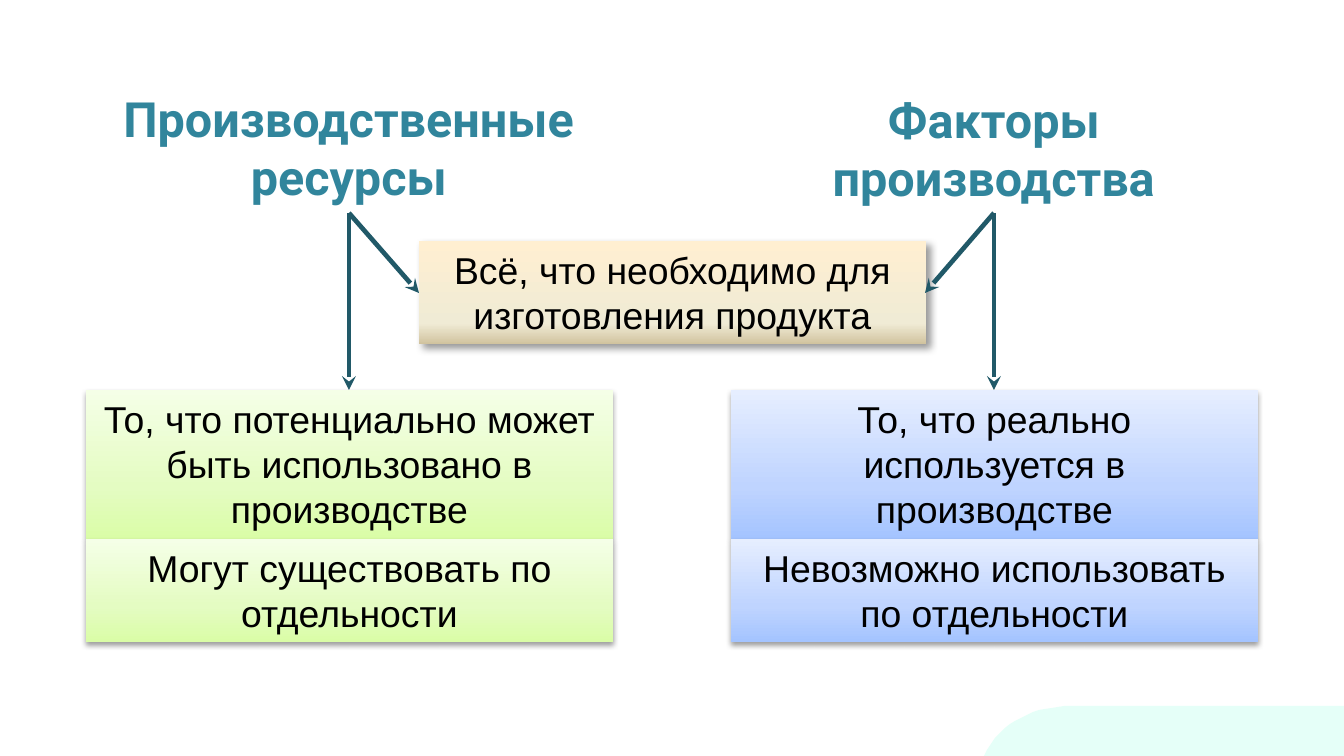
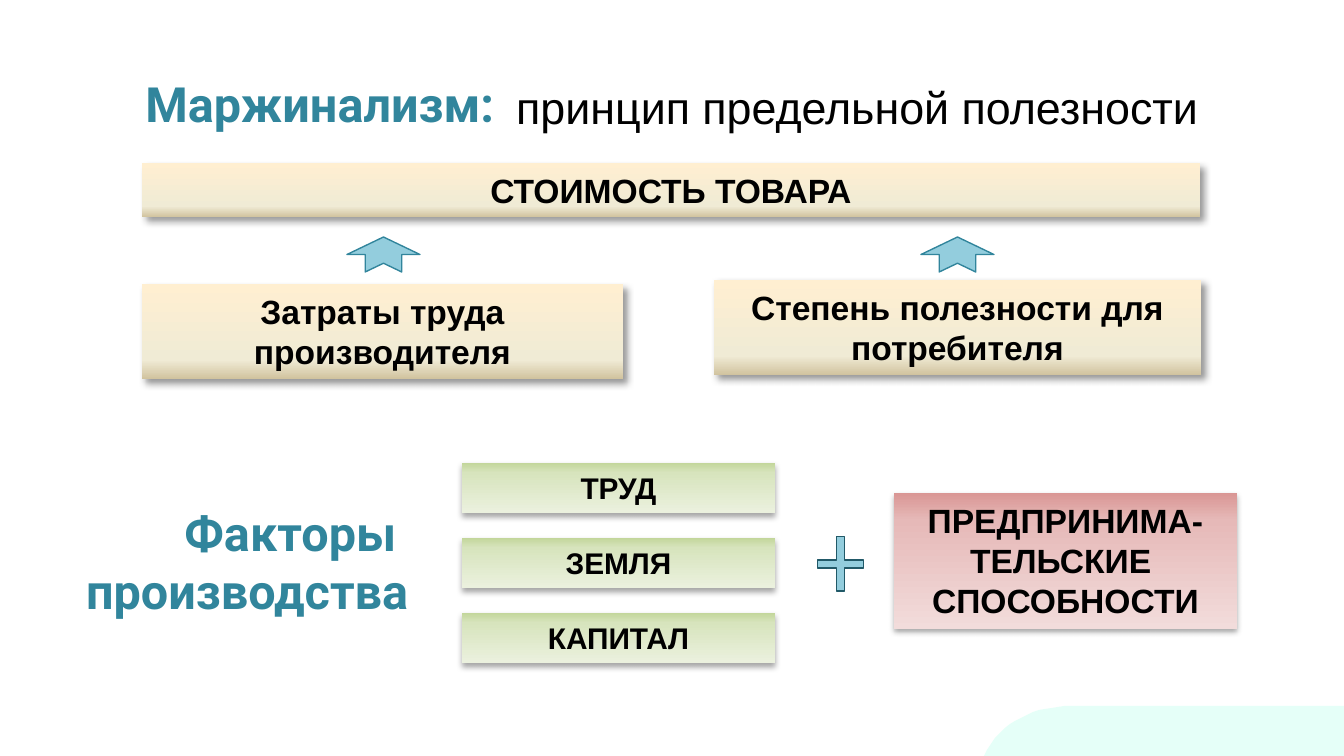
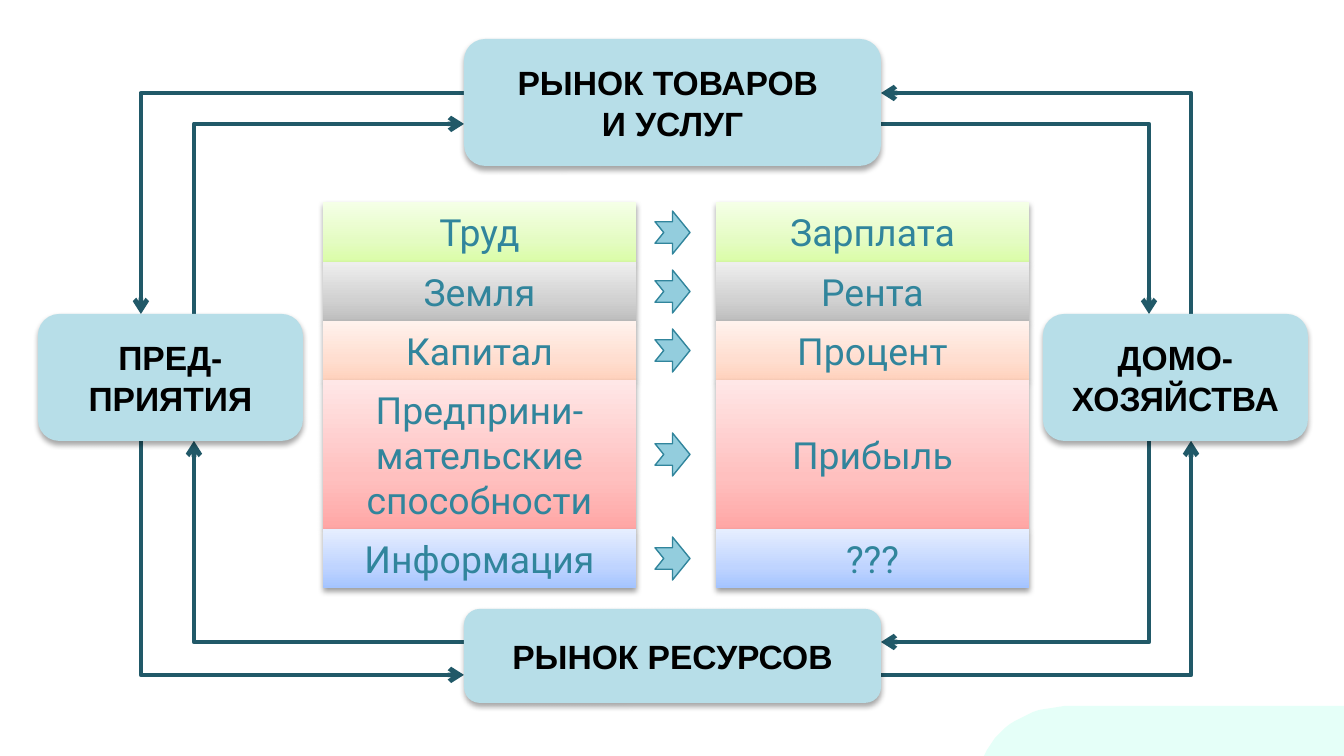
from collections import namedtuple
from dataclasses import dataclass

from pptx import Presentation
from pptx.dml.color import RGBColor
from pptx.enum.shapes import MSO_CONNECTOR, MSO_SHAPE
from pptx.enum.text import MSO_ANCHOR, MSO_AUTO_SIZE, PP_ALIGN
from pptx.oxml import parse_xml
from pptx.oxml.ns import nsdecls, qn
from pptx.util import Pt

PX = 9144000 / 1344
NAMESPACE = nsdecls("a")

Shadow = namedtuple("Shadow", "opacity blur distance angle")
Gradient = namedtuple("Gradient", "angle stops shadow")

SOFT = Shadow(38, 3.1, 1.6, 90)
FIRM = Shadow(35, 3.1, 1.8, 90)
DIAGONAL = Shadow(40, 4, 3, 45)


@dataclass(frozen=True)
class Theme:
    band: str = "E5FFF8"
    teal: str = "31859C"
    dark_teal: str = "215968"
    sky: str = "93CDDD"
    pale_sky: str = "B7DEE8"
    black: str = "000000"
    heading_font: str = "Roboto"
    body_font: str = "Arial"
    heading_size: int = 26
    lead_size: int = 24
    body_size: int = 20
    label_size: int = 18
    small_size: int = 16
    thin_line: float = 0.75
    arrow_line: float = 2.5
    cream: Gradient = Gradient(90, ((0, "FFEFD1"), (80, "F0EBD5"), (100, "D1C39F")), DIAGONAL)
    lime: Gradient = Gradient(270, ((0, "DAFDA7"), (35, "E4FCC2"), (100, "F5FFE7")), SOFT)
    blue: Gradient = Gradient(270, ((0, "A4C4FF"), (35, "BFD4FF"), (100, "E6EEFF")), SOFT)
    grey: Gradient = Gradient(270, ((0, "BDBDBD"), (35, "D1D1D1"), (100, "EEEEEE")), SOFT)
    peach: Gradient = Gradient(270, ((0, "FFD2BD"), (35, "FFDED0"), (100, "FFF2ED")), SOFT)
    red: Gradient = Gradient(270, ((0, "FFA6A5"), (35, "FFC0BF"), (100, "FFE7E7")), SOFT)
    olive: Gradient = Gradient(270, ((0, "EBF1DE"), (80, "D7E4BD"), (100, "C3D69B")), FIRM)
    rose: Gradient = Gradient(270, ((0, "F2DCDB"), (80, "E6B9B8"), (100, "D99694")), FIRM)


theme = Theme()
HEADING = dict(kind="text", size=theme.heading_size, font=theme.heading_font,
               colour=theme.teal, bold=True, outline=theme.dark_teal)
TITLE = {**HEADING, "kind": "title"}
LABEL = dict(size=theme.label_size, bold=True)


def add_block(slide, text, place, *, kind=MSO_SHAPE.RECTANGLE, fill=None, line=None,
              shadow=None, rotation=0, size=theme.body_size, font=theme.body_font,
              colour=theme.black, bold=False, outline=None,
              align=PP_ALIGN.CENTER, anchor=MSO_ANCHOR.TOP):
    """Place a title, text box or preset shape (left, top, width, height in px)."""
    left, top, width, height = (round(length * PX) for length in place)
    if kind == "title":
        shape = slide.shapes.title
        shape.left, shape.top, shape.width, shape.height = left, top, width, height
    elif kind == "text":
        shape = slide.shapes.add_textbox(left, top, width, height)
    else:
        shape = slide.shapes.add_shape(kind, left, top, width, height)
        shape.rotation = rotation
        shape.shadow.inherit = False
        if isinstance(fill, Gradient):
            shadow = fill.shadow
            shape.fill.background()
            stops = "".join(f'<a:gs pos="{position * 1000}"><a:srgbClr val="{shade}"/></a:gs>'
                            for position, shade in fill.stops)
            no_fill = shape.element.spPr.find(qn("a:noFill"))
            no_fill.getparent().replace(no_fill, parse_xml(
                f'<a:gradFill {NAMESPACE} rotWithShape="1"><a:gsLst>{stops}</a:gsLst>'
                f'<a:lin ang="{fill.angle * 60000}" scaled="0"/></a:gradFill>'))
        else:
            shape.fill.solid()
            shape.fill.fore_color.rgb = RGBColor.from_string(fill)
        if line:
            shape.line.color.rgb = RGBColor.from_string(line)
            shape.line.width = Pt(theme.thin_line)
        else:
            shape.line.fill.background()
        if shadow:
            shape.element.spPr.find(qn("a:effectLst")).append(parse_xml(
                f'<a:outerShdw {NAMESPACE} blurRad="{Pt(shadow.blur)}" '
                f'dist="{Pt(shadow.distance)}" dir="{shadow.angle * 60000}" rotWithShape="0">'
                f'<a:srgbClr val="{theme.black}"><a:alpha val="{shadow.opacity * 1000}"/>'
                '</a:srgbClr></a:outerShdw>'))
    if not text:
        return shape

    frame = shape.text_frame
    frame.text = text
    frame.word_wrap = True
    frame.vertical_anchor = anchor
    grows = anchor == MSO_ANCHOR.TOP
    frame.auto_size = MSO_AUTO_SIZE.SHAPE_TO_FIT_TEXT if grows else MSO_AUTO_SIZE.NONE
    for paragraph in frame.paragraphs:
        paragraph.alignment = align
        for run in paragraph.runs:
            run.font.name = font
            run.font.size = Pt(size)
            run.font.bold = bold
            run.font.color.rgb = RGBColor.from_string(colour)
            if outline:
                run.font.fill  # the outline goes ahead of the text fill
                run._r.get_or_add_rPr().insert(0, parse_xml(
                    f'<a:ln {NAMESPACE} w="{Pt(theme.thin_line)}"><a:solidFill>'
                    f'<a:srgbClr val="{outline}"/></a:solidFill></a:ln>'))
    return shape


def add_arrow(slide, start, end, head, bend=None):
    """Draw an arrow; bend puts its corner at the start (0) or the end (1) of its width."""
    route = MSO_CONNECTOR.STRAIGHT if bend is None else MSO_CONNECTOR.ELBOW
    connector = slide.shapes.add_connector(
        route, *(round(length * PX) for length in (*start, *end)))
    connector.line.color.rgb = RGBColor.from_string(theme.dark_teal)
    connector.line.width = Pt(theme.arrow_line)
    properties = connector.element.spPr
    properties.find(qn("a:ln")).append(parse_xml(f'<a:tailEnd {NAMESPACE} type="{head}"/>'))
    properties.append(parse_xml(f'<a:effectLst {NAMESPACE}/>'))
    if bend is not None:
        connector.element.xpath(".//a:avLst")[0].append(parse_xml(
            f'<a:gd {NAMESPACE} name="adj1" fmla="val {bend * 100000}"/>'))


presentation = Presentation()
presentation.slide_width = round(1344 * PX)
presentation.slide_height = round(756 * PX)
title_only, blank = presentation.slide_layouts[5], presentation.slide_layouts[6]

# Slide 1: resources and factors
slide = presentation.slides.add_slide(title_only)

# The corner band is drawn once and moved to the master
curve = ((984, 756), (1000, 720), (1038, 706), (1070, 706))
weights = [((1 - t) ** 3, 3 * t * (1 - t) ** 2, 3 * t * t * (1 - t), t ** 3)
           for t in (step / 16 for step in range(17))]
edge = [tuple(sum(weight * point[axis] for weight, point in zip(row, curve)) for axis in (0, 1))
        for row in weights]
builder = slide.shapes.build_freeform(1344, 756, scale=PX)
builder.add_line_segments([*edge, (1344, 706)], close=True)
band = builder.convert_to_shape()
band.shadow.inherit = False
band.fill.solid()
band.fill.fore_color.rgb = RGBColor.from_string(theme.band)
band.line.fill.background()
presentation.slide_master.shapes.element.append(band.element)

add_block(slide, "Производственные ресурсы", (69, 82, 560, 132), **TITLE)
add_block(slide, "Факторы производства", (714, 83, 560, 132), **HEADING)
add_block(slide, "Всё, что необходимо для изготовления продукта", (419, 241, 507, 103),
          fill=theme.cream)
columns = [
    (86, 419, theme.lime, "То, что потенциально может быть использовано в производстве",
     "Могут существовать по отдельности"),
    (731, 925, theme.blue, "То, что реально используется в производстве",
     "Невозможно использовать по отдельности"),
]
for left, shared_edge, fill, use, separation in columns:
    middle = left + 263
    add_arrow(slide, (middle, 213), (shared_edge, 293), "stealth")
    add_arrow(slide, (middle, 213), (middle, 390), "stealth")
    add_block(slide, use, (left, 390, 527, 149), fill=fill)
    add_block(slide, separation, (left, 539, 527, 103), fill=fill)

# Slide 2: marginalism
slide = presentation.slides.add_slide(title_only)
add_block(slide, "Маржинализм:", (132, 67, 380, 73), align=PP_ALIGN.LEFT, **TITLE)
add_block(slide, "принцип предельной полезности", (503, 73, 836, 67), kind="text",
          size=theme.lead_size, align=PP_ALIGN.LEFT)
for text, place in [
    ("СТОИМОСТЬ ТОВАРА", (142, 163, 1058, 54)),
    ("Затраты труда производителя", (142, 284, 481, 95)),
    ("Степень полезности для потребителя", (714, 280, 487, 95)),
]:
    add_block(slide, text, place, fill=theme.cream, **LABEL)
for left in (366, 940):
    add_block(slide, None, (left, 218, 35, 73), kind=MSO_SHAPE.NOTCHED_RIGHT_ARROW,
              fill=theme.sky, line=theme.teal, rotation=270)

add_block(slide, "Факторы \nпроизводства", (50, 496, 372, 132), align=PP_ALIGN.RIGHT, **HEADING)
for row, factor in enumerate(("ТРУД", "ЗЕМЛЯ", "КАПИТАЛ")):
    add_block(slide, factor, (462, 463 + 75 * row, 313, 50), fill=theme.olive,
              size=theme.small_size, bold=True)
add_block(slide, "ПРЕДПРИНИМА-ТЕЛЬСКИЕ \nСПОСОБНОСТИ", (894, 493, 343, 136),
          fill=theme.rose, **LABEL)
plus = add_block(slide, None, (809, 527, 63, 74), kind=MSO_SHAPE.MATH_PLUS,
                 fill=theme.sky, line=theme.dark_teal)
plus.adjustments[0] = 0.13

# Slide 3: circular flow
slide = presentation.slides.add_slide(blank)
market_left, market_right = 464, 881
side_top, side_bottom = 314, 441
for start, end in [
    ((194, side_top), (market_left, 124)),
    ((market_left, 642), (194, side_bottom)),
    ((1149, side_bottom), (market_right, 642)),
    ((market_right, 124), (1149, side_top)),
    ((market_left, 93), (141, side_top)),
    ((141, side_bottom), (market_left, 675)),
    ((market_right, 675), (1191, side_bottom)),
    ((1191, side_top), (market_right, 93)),
]:
    add_arrow(slide, start, end, "arrow", bend=int(start[0] in (market_left, market_right)))

for text, place in [
    ("РЫНОК ТОВАРОВ \nИ УСЛУГ", (market_left, 39, 417, 127)),
    ("РЫНОК РЕСУРСОВ", (market_left, 609, 417, 94)),
    ("ПРЕД-\nПРИЯТИЯ", (38, side_top, 265, 127)),
    ("ДОМО-ХОЗЯЙСТВА", (1043, side_top, 265, 127)),
]:
    add_block(slide, text, place, kind=MSO_SHAPE.ROUNDED_RECTANGLE, fill=theme.pale_sky,
              shadow=FIRM, anchor=MSO_ANCHOR.MIDDLE, **LABEL)

top = 202
for factor, income, height, fill in [
    ("Труд", "Зарплата", 60, theme.lime),
    ("Земля", "Рента", 59, theme.grey),
    ("Капитал", "Процент", 59, theme.peach),
    ("Предприни-мательские способности", "Прибыль", 149, theme.red),
    ("Информация", "???", 59, theme.blue),
]:
    for left, text in ((323, factor), (716, income)):
        add_block(slide, text, (left, top, 313, height), fill=fill, font=theme.heading_font,
                  colour=theme.teal, outline=theme.dark_teal, anchor=MSO_ANCHOR.MIDDLE)
    add_block(slide, None, (655, top + height // 2 - 21, 35, 43),
              kind=MSO_SHAPE.NOTCHED_RIGHT_ARROW, fill=theme.sky, line=theme.teal)
    top += height

presentation.save("out.pptx")
